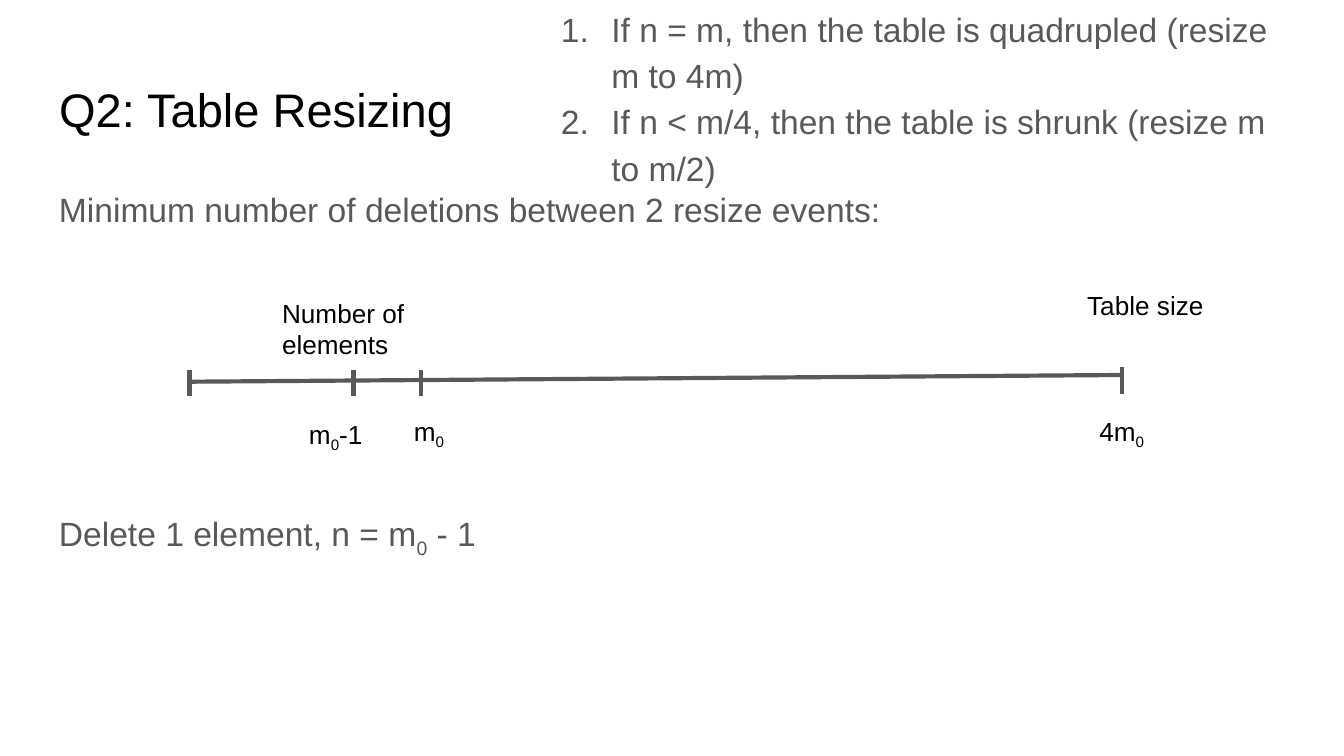
from lxml import etree
from pptx import Presentation
from pptx.dml.color import RGBColor
from pptx.enum.shapes import MSO_CONNECTOR
from pptx.enum.text import MSO_ANCHOR, MSO_AUTO_SIZE
from pptx.oxml.ns import qn
from pptx.util import Pt

STRAIGHT = MSO_CONNECTOR.STRAIGHT
TOP, BOTTOM = MSO_ANCHOR.TOP, MSO_ANCHOR.BOTTOM
NO_FIT = MSO_AUTO_SIZE.NONE
BLACK = RGBColor(0x00, 0x00, 0x00)
GRAY = RGBColor(0x59, 0x59, 0x59)
FONT = "Arial"
INSET = 7.2
TITLE_ONLY = 5


def set_frame(tf, anchor=TOP):
    tf.word_wrap = True
    tf.auto_size = NO_FIT
    tf.vertical_anchor = anchor
    tf.margin_left = tf.margin_right = Pt(INSET)
    tf.margin_top = tf.margin_bottom = Pt(INSET)


def add_runs(p, text, size, color):
    """Write text into p; every second part between underscores is a subscript."""
    for i, part in enumerate(text.split("_")):
        if not part:
            continue
        r = p.add_run()
        r.text = part
        r.font.name = FONT
        r.font.size = Pt(size)
        r.font.color.rgb = color
        if i % 2:
            r.font._element.set("baseline", "-25000")


def add_text(s, box, lines, size=14, color=BLACK, spacing=None, numbered=False):
    tf = s.shapes.add_textbox(*map(Pt, box)).text_frame
    set_frame(tf)
    for i, line in enumerate(lines):
        p = tf.add_paragraph() if i else tf.paragraphs[0]
        if numbered:
            number_paragraph(p)
        if spacing:
            p.line_spacing = spacing
        add_runs(p, line, size, color)


def number_paragraph(p):
    pPr = p._p.get_or_add_pPr()
    pPr.set("marL", str(Pt(36)))
    pPr.set("indent", str(-Pt(27)))
    bu_color = etree.SubElement(pPr, qn("a:buClr"))
    etree.SubElement(bu_color, qn("a:srgbClr"), val=str(GRAY))
    etree.SubElement(pPr, qn("a:buFont"), typeface=FONT)
    etree.SubElement(pPr, qn("a:buAutoNum"), type="arabicPeriod")


def add_line(s, x1, y1, x2, y2):
    line = s.shapes.add_connector(STRAIGHT, Pt(x1), Pt(y1), Pt(x2), Pt(y2))
    line.line.color.rgb = GRAY
    line.line.width = Pt(2.25)
    etree.SubElement(line._element.spPr, qn("a:effectLst"))


def add_title(s, box, text):
    sp = s.shapes.title
    sp.left, sp.top, sp.width, sp.height = map(Pt, box)
    set_frame(sp.text_frame, BOTTOM)
    p = sp.text_frame.paragraphs[0]
    p.alignment = 1
    add_runs(p, text, 25.2, BLACK)


def add_timeline(s, box):
    left, top, width, height = box
    # Axis, rising slightly to the right
    add_line(s, left + 0.5, top + 7.9, left + width, top + 4.3)
    # Ticks: start, m0 - 1, m0, 4m0
    for dx, dy in ((0, 1.4), (87.9, 1.4), (123.9, 1.4), (width - 0.5, 0)):
        add_line(s, left + dx, top + dy, left + dx, top + dy + height)
    # Captions above and values below the axis
    for dx, dy, w, h, lines in (
        (42.5, -44.7, 94.3, 48.2, ["Number of", "elements"]),
        (473.8, -49, 78.5, 31.7, ["Table size"]),
        (56.9, 20.1, 51.1, 31.7, ["m_0_-1"]),
        (113.1, 18.7, 39.6, 31.7, ["m_0"]),
        (480.3, 18.7, 39.6, 31.7, ["4m_0"]),
    ):
        add_text(s, (left + dx, top + dy, w, h), lines)


def main():
    prs = Presentation()
    prs.slide_width, prs.slide_height = Pt(720), Pt(405)
    s = prs.slides.add_slide(prs.slide_layouts[TITLE_ONLY])

    add_title(s, (24.5, 35.3, 671, 45.4), "Q2: Table Resizing")

    # Statements
    add_text(s, (24.5, 90.7, 671, 59), ["Minimum number of deletions between 2 resize events:"],
             18, GRAY, 1.15)
    add_text(s, (24.5, 264.2, 671, 95.8), ["Delete 1 element, n = m_0_ - 1"], 18, GRAY, 1.15)

    add_timeline(s, (101.5, 196.6, 500.2, 14.4))

    # Resizing rules
    add_text(s, (284.4, -5.8, 411.1, 111.6), [
        "If n = m, then the table is quadrupled (resize m to 4m)",
        "If n < m/4, then the table is shrunk (resize m to m/2)",
    ], 18, GRAY, 1.15, numbered=True)

    prs.save("out.pptx")


if __name__ == "__main__":
    main()
